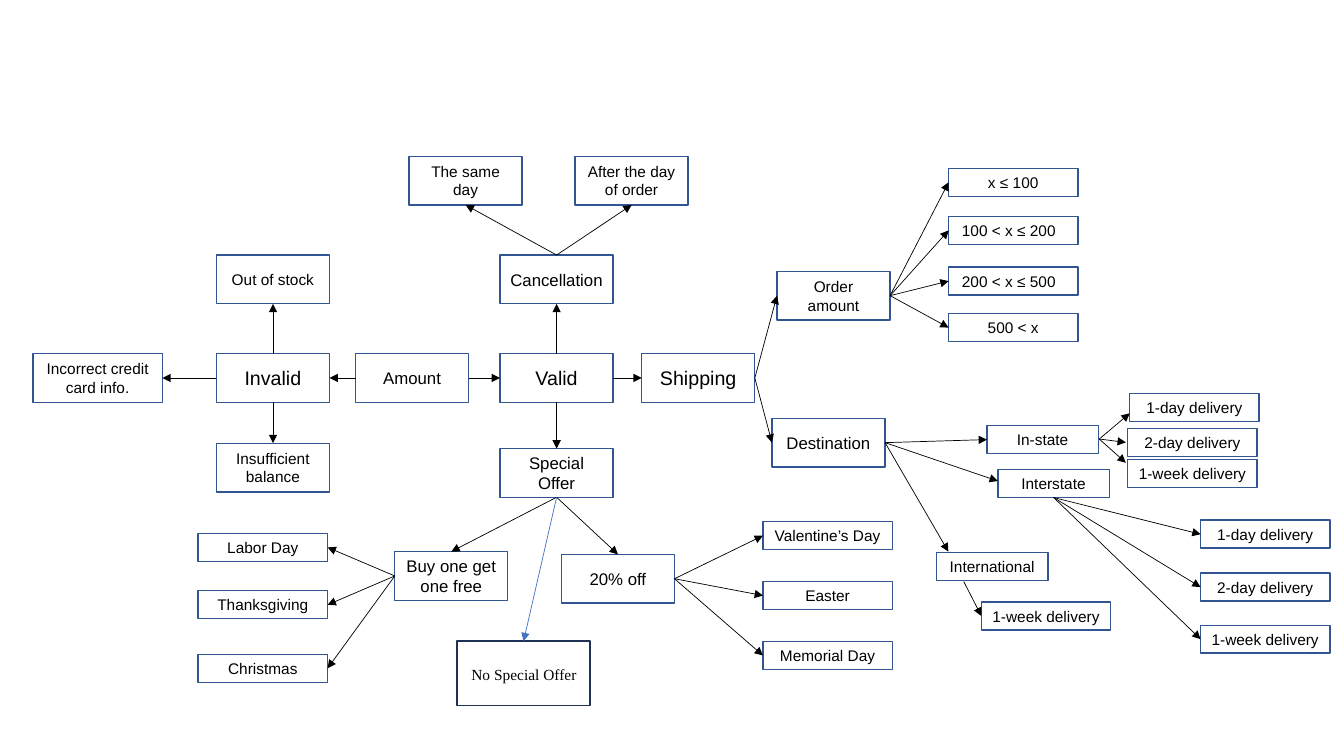
from pptx import Presentation
from pptx.dml.color import RGBColor
from pptx.enum.shapes import MSO_CONNECTOR as Connector, MSO_SHAPE as Shape
from pptx.enum.text import MSO_ANCHOR as Anchor, PP_ALIGN as Align
from pptx.oxml.ns import qn
from pptx.util import Pt
from lxml.etree import SubElement

COLORS = {"ink": "000000", "border": "325491", "dark": "1E3256", "accent": "4472C4"}
LARGE, WIDE, SMALL = (80.8, 34.8), (92.4, 20), (79.6, 20)
TOP, LEFT, BOTTOM, RIGHT = range(4)


class FlowChart:
    """Draws the boxes, arrows and captions of a flow chart on one slide."""

    def __init__(self, slide):
        self.slide = slide
        self.line_width = 0.5
        self.border_width = 1

    def color(self, name):
        return RGBColor.from_string(COLORS[name])

    def label(self, shape, text, size, font="Arial", align=Align.CENTER, **frame_format):
        frame = shape.text_frame
        for name, value in {"word_wrap": True, **frame_format}.items():
            setattr(frame, name, value)
        paragraph = frame.paragraphs[0]
        paragraph.alignment = align
        run = paragraph.add_run()
        run.text = text
        for name, value in {"name": font, "size": Pt(size)}.items():
            setattr(run.font, name, value)
        run.font.color.rgb = self.color("ink")

    def box(self, text, left, top, dimensions=LARGE, size=11, border="border", **frame_format):
        shape = self.slide.shapes.add_shape(
            Shape.RECTANGLE, Pt(left), Pt(top), *map(Pt, dimensions))
        shape.shadow.inherit = False
        shape.fill.background()
        shape.line.color.rgb = self.color(border)
        shape.line.width = Pt(self.border_width)
        if text:
            self.label(shape, text, size, vertical_anchor=Anchor.MIDDLE, **frame_format)
        return shape

    def caption(self, text, left, top, dimensions, size, font):
        shape = self.slide.shapes.add_textbox(Pt(left), Pt(top), *map(Pt, dimensions))
        self.label(shape, text, size, font, Align.LEFT)

    def arrow(self, start=(0, 0), end=(0, 0), color="ink"):
        connector = self.slide.shapes.add_connector(
            Connector.STRAIGHT, *map(Pt, (*start, *end)))
        connector.line.color.rgb = self.color(color)
        connector.line.width = Pt(self.line_width)
        properties = connector._element.spPr
        SubElement(properties.get_or_add_ln(), qn("a:tailEnd"), type="triangle")
        SubElement(properties, qn("a:effectLst"))
        return connector

    def link(self, source, source_side, targets, target_side, color="ink"):
        for target in targets:
            connector = self.arrow(color=color)
            connector.begin_connect(source, source_side)
            connector.end_connect(target, target_side)

    def column(self, texts, left, tops):
        return [self.box(text, left, top, WIDE) for text, top in zip(texts, tops)]


def draw_chart(chart):
    main_row, upper_row, top_row = 252.6, 182.2, 111.6
    invalid_left, valid_left = 154.6, 357.2
    deliveries = ["1-day delivery", "2-day delivery", "1-week delivery"]

    amount = chart.box("Amount", 254, main_row, size=12)
    invalid = chart.box("Invalid", invalid_left, main_row, size=14)
    valid = chart.box("Valid", valid_left, main_row, size=14)
    shipping = chart.box("Shipping", 458.4, main_row, size=14)
    chart.link(amount, LEFT, [invalid], RIGHT)
    chart.link(amount, RIGHT, [valid], LEFT)
    chart.link(valid, RIGHT, [shipping], LEFT)

    out_of_stock = chart.box("Out of stock", invalid_left, upper_row)
    bad_card = chart.box("Incorrect credit card info.", 23.6, main_row, (WIDE[0], LARGE[1]))
    low_balance = chart.box("Insufficient balance", invalid_left, 316.6)
    chart.link(invalid, TOP, [out_of_stock], BOTTOM)
    chart.link(invalid, LEFT, [bad_card], RIGHT)
    chart.link(invalid, BOTTOM, [low_balance], TOP)

    cancellation = chart.box("Cancellation", valid_left, upper_row, size=12,
                             margin_left=Pt(7), margin_right=Pt(7))
    same_day = chart.box("The same day", 292.2, top_row)
    later = chart.box("After the day of order", 410.8, top_row)
    chart.link(valid, TOP, [cancellation], BOTTOM)
    chart.link(cancellation, TOP, [same_day, later], BOTTOM)

    special = chart.box("Special Offer", valid_left, 320.4, size=12)
    free_item = chart.box("Buy one get one free", 282, 394, size=12)
    discount = chart.box("20% off", 401, 396, size=12)
    no_offer = chart.box("", 326.4, 458, (95.2, 46), border="dark")
    chart.caption("No Special Offer", 329.6, 471.6, (95.2, 21), 11, "Times New Roman")
    chart.link(valid, BOTTOM, [special], TOP)
    chart.link(special, BOTTOM, [free_item, discount], TOP)
    chart.link(special, BOTTOM, [no_offer], TOP, "accent")

    autumn = chart.column(["Labor Day", "Thanksgiving", "Christmas"], 141.6, [381, 422, 467.4])
    spring = chart.column(["Valentine’s Day", "Easter", "Memorial Day"], 545,
                          [372.6 + 42.8 * row for row in range(3)])
    chart.link(free_item, LEFT, autumn, RIGHT)
    chart.link(discount, RIGHT, spring, LEFT)

    order_amount = chart.box("Order amount", 555, 193.8)
    destination = chart.box("Destination", 551.4, 298.8, size=12)
    chart.link(shipping, RIGHT, [order_amount, destination], LEFT)

    ranges = [("x ≤ 100", 120.2, 7.2), ("100 < x ≤ 200", 154.6, 13.4),
              ("200 < x ≤ 500", 190.8, 13.4), ("500 < x", 224, 7.2)]
    amounts = [chart.box(text, 677.6, top, WIDE, margin_right=Pt(inset))
               for text, top, inset in ranges]
    chart.link(order_amount, RIGHT, amounts, LEFT)

    in_state = chart.box("In-state", 705, 304, SMALL)
    interstate = chart.box("Interstate", 712.8, 335.4, SMALL)
    chart.box("International", 669, 394.6, SMALL)
    chart.link(destination, RIGHT, [in_state], LEFT)
    for end in [(712.8, 343.6), (677.4, 394)]:
        chart.arrow((632.2, 316.2), end)

    for text, left, top in zip(deliveries, [807, 805.6, 805.6], [281, 306, 328.4]):
        chart.box(text, left, top, WIDE)
    for end in [(807, 295.2), (804.2, 316), (804.2, 330.6)]:
        chart.arrow((785.2, 313.6), end)

    slow_deliveries = chart.column(deliveries, 857.6, [371.6, 409.4, 446.6])
    chart.link(interstate, BOTTOM, slow_deliveries, LEFT)
    chart.box("1-week delivery", 701, 430, WIDE)
    chart.arrow((688.4, 415.4), (701, 440))


def main():
    presentation = Presentation()
    presentation.slide_width = Pt(960)
    presentation.slide_height = Pt(540)
    slide = presentation.slides.add_slide(presentation.slide_layouts[6])
    draw_chart(FlowChart(slide))
    presentation.save("out.pptx")


if __name__ == "__main__":
    main()
